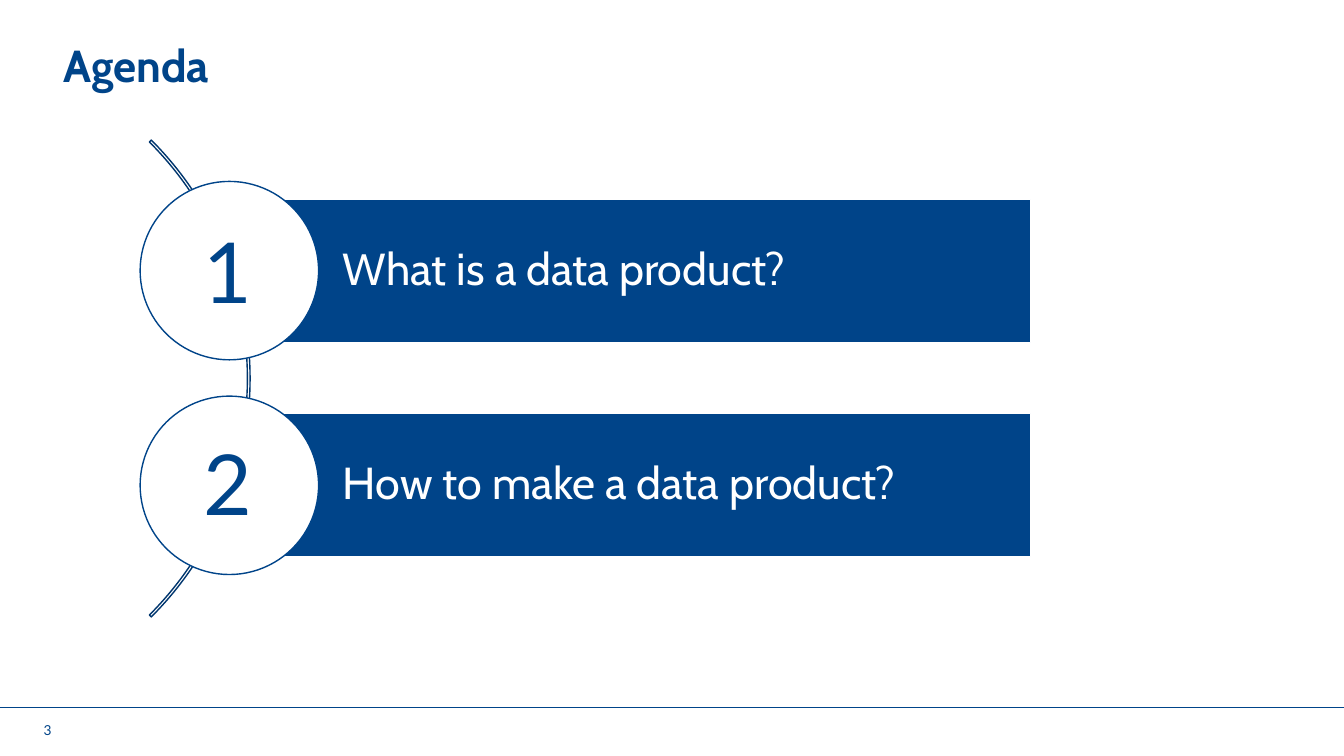
"""Build an agenda slide with numbered circles and bars along an arc."""
from dataclasses import dataclass

from lxml.etree import SubElement
from pptx import Presentation
from pptx.dml.color import RGBColor
from pptx.enum.shapes import MSO_CONNECTOR, MSO_SHAPE
from pptx.enum.text import MSO_ANCHOR, MSO_AUTO_SIZE, PP_ALIGN
from pptx.oxml.ns import qn
from pptx.util import Inches, Pt


@dataclass(frozen=True)
class Theme:
    blue: RGBColor = RGBColor(0x00, 0x44, 0x89)
    dark_blue: RGBColor = RGBColor(0x00, 0x36, 0x6E)
    white: RGBColor = RGBColor(0xFF, 0xFF, 0xFF)
    heading_font: str = "Cabin"
    body_font: str = "Lato"
    text_size: float = 32
    number_size: float = 60
    footer_size: float = 9.8


def write_text(sp, text, *, font, size, color, bold=False, align=PP_ALIGN.LEFT,
               anchor=MSO_ANCHOR.TOP, insets=(0.1, 0.05, 0.1, 0.05), spacing=1.0):
    tf = sp.text_frame
    tf.word_wrap = True
    tf.auto_size = MSO_AUTO_SIZE.NONE
    tf.vertical_anchor = anchor
    tf.margin_left, tf.margin_top, tf.margin_right, tf.margin_bottom = map(Inches, insets)
    p = tf.paragraphs[0]
    p.alignment = align
    p.line_spacing = spacing
    r = p.add_run()
    r.text = text
    r.font.name = font
    r.font.size = Pt(size)
    r.font.bold = bold
    r.font.color.rgb = color


class AgendaSlide:
    def __init__(self, prs, theme):
        self.theme = theme
        self.s = prs.slides.add_slide(prs.slide_layouts[5])

    def title(self, text, *box):
        sp = self.s.shapes.title
        sp.left, sp.top, sp.width, sp.height = map(Inches, box)
        write_text(sp, text, font=self.theme.heading_font, size=self.theme.text_size,
                   color=self.theme.blue, bold=True, anchor=MSO_ANCHOR.BOTTOM,
                   insets=(0, 0, 0, 0.08), spacing=0.9)

    def shape(self, kind, *box, line, fill=None):
        sp = self.s.shapes.add_shape(kind, *map(Inches, box))
        sp.shadow.inherit = False
        if fill is None:
            sp.fill.background()
        else:
            sp.fill.solid()
            sp.fill.fore_color.rgb = fill
        sp.line.color.rgb = line
        sp.line.width = Pt(1)
        return sp

    def arc(self, *box):
        sp = self.shape(MSO_SHAPE.BLOCK_ARC, *box, line=self.theme.dark_blue)
        for i, value in enumerate((189, 27, 0.004)):
            sp.adjustments[i] = value

    def bar(self, text, *box):
        sp = self.shape(MSO_SHAPE.RECTANGLE, *box, line=self.theme.white, fill=self.theme.blue)
        write_text(sp, text, font=self.theme.heading_font, size=self.theme.text_size,
                   color=self.theme.white, anchor=MSO_ANCHOR.MIDDLE,
                   insets=(1.13, 0.09, 0.09, 0.09), spacing=0.9)

    def circle(self, *box):
        self.shape(MSO_SHAPE.OVAL, *box, line=self.theme.blue, fill=self.theme.white)

    def label(self, text, *box, size, **fmt):
        sp = self.s.shapes.add_textbox(*map(Inches, box))
        write_text(sp, text, font=self.theme.body_font, size=size,
                   color=self.theme.blue, **fmt)

    def rule(self, x1, y1, x2, y2):
        line = self.s.shapes.add_connector(MSO_CONNECTOR.STRAIGHT, *map(Inches, (x1, y1, x2, y2)))
        line.line.color.rgb = self.theme.blue
        line.line.width = Pt(0.5)
        SubElement(line._element.spPr, qn("a:effectLst"))


def main():
    prs = Presentation()
    prs.slide_width, prs.slide_height = Inches(13.33), Inches(7.5)
    theme = Theme()
    slide = AgendaSlide(prs, theme)

    slide.rule(0, 7.02, 13.33, 7.02)
    slide.label("3", 0.04, 7.14, 0.57, 0.21, size=theme.footer_size,
                align=PP_ALIGN.RIGHT, anchor=MSO_ANCHOR.MIDDLE)
    slide.title("Agenda", 0.63, 0.1, 12.07, 0.89)
    slide.arc(-4.21, 0.41, 6.69, 6.69)

    topics = ("What is a data product?", "How to make a data product?")
    for i, topic in enumerate(topics):
        slide.bar(topic, 2.27, 1.98 + 2.12 * i, 7.95, 1.42)
        slide.circle(1.39, 1.8 + 2.13 * i, 1.77, 1.77)
        slide.label(str(i + 1), 1.78, 2.13 + 2.1 * i, 0.95, 1.11,
                    size=theme.number_size, align=PP_ALIGN.CENTER)

    prs.save("out.pptx")


if __name__ == "__main__":
    main()
